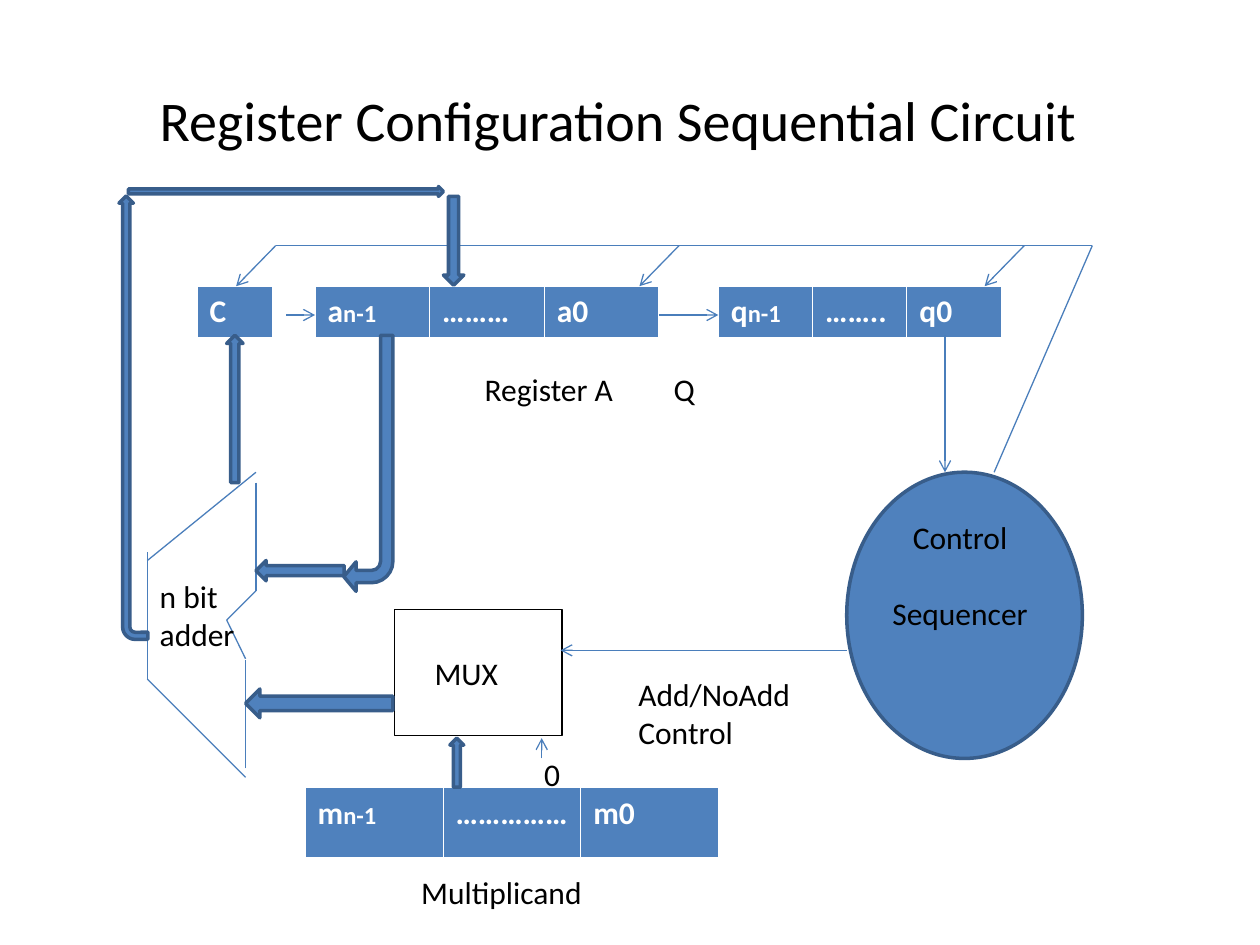
"""Build the slide showing the register configuration of a sequential multiplier."""
import pptx
import pptx.dml.color
import pptx.enum.shapes
import pptx.enum.text
import pptx.oxml
import pptx.oxml.ns
import pptx.util

Cm = pptx.util.Cm
Pt = pptx.util.Pt
KIND = pptx.enum.shapes.MSO_SHAPE
ALIGN = pptx.enum.text.PP_ALIGN
NAMESPACE = pptx.oxml.ns.nsdecls("a")
COLOURS = {"fill": "4F81BD", "outline": "385D8A", "line": "4A7EBB", "text": "000000", "light": "FFFFFF"}
RGB = {name: pptx.dml.color.RGBColor.from_string(value) for name, value in COLOURS.items()}


def add_span(para, text, size=18, colour="text", bold=False):
    span = para.add_run()
    span.text = text
    span.font.name = "Calibri"
    span.font.size = Pt(size)
    span.font.bold = bold
    span.font.color.rgb = RGB[colour]


def add_block(kind, left, top, width, height, fill="fill", outline="outline", weight=2):
    block = page.shapes.add_shape(kind, Cm(left), Cm(top), Cm(width), Cm(height))
    block.shadow.inherit = False
    if fill:
        block.fill.solid()
        block.fill.fore_color.rgb = RGB[fill]
    else:
        block.fill.background()
    block.line.color.rgb = RGB[outline]
    block.line.width = Pt(weight)
    return block


deck = pptx.Presentation()
deck.slide_width = Cm(25.4)
deck.slide_height = Cm(19.05)
page = deck.slides.add_slide(deck.slide_layouts[6])

registers = [
    (3.97, 5.77, 1.52, 1.04, [["C"]]),
    (6.35, 5.77, 2.31, 1.04, [["a", "n-1"], ["………"], ["a0"]]),
    (14.48, 5.77, 1.9, 1.04, [["q", "n-1"], ["…….."], ["q0"]]),
    (6.15, 15.88, 2.78, 1.42, [["m", "n-1"], ["……………"], ["m0"]]),
]
for left, top, cell_width, height, cells in registers:
    frame = page.shapes.add_table(
        1, len(cells), Cm(left), Cm(top), Cm(cell_width * len(cells)), Cm(height))
    for index, parts in enumerate(cells):
        frame.table.columns[index].width = Cm(cell_width)
        cell = frame.table.cell(0, index)
        cell.fill.solid()
        cell.fill.fore_color.rgb = RGB["fill"]
        for position, (side, weight) in enumerate([("L", 0.45), ("R", 0.45), ("T", 0.45), ("B", 1.47)]):
            border = pptx.oxml.parse_xml(
                f'<a:ln{side} {NAMESPACE} w="{Pt(weight)}"><a:solidFill>'
                f'<a:srgbClr val="{COLOURS["light"]}"/></a:solidFill></a:ln{side}>')
            cell._tc.get_or_add_tcPr().insert(position, border)
        for text, size in zip(parts, (18, 14)):
            add_span(cell.text_frame.paragraphs[0], text, size, "light", True)

add_block(KIND.OVAL, 17.07, 9.52, 4.75, 5.77)
mux = add_block(KIND.RECTANGLE, 7.95, 12.29, 3.38, 2.54, None, "text", 0.75)
mux.text_frame.margin_left = Cm(0.81)
mux.text_frame.vertical_anchor = pptx.enum.text.MSO_ANCHOR.MIDDLE
mux.text_frame.paragraphs[0].alignment = ALIGN.LEFT
add_span(mux.text_frame.paragraphs[0], "MUX")

bus_top, register_top = 4.95, 5.77
arrows = [
    (5.77, 6.35, 6.35, 6.35),
    (13.28, 6.35, 14.48, 6.35),
    (17.07, 13.11, 11.3, 13.11),
    (10.92, 15.29, 10.92, 14.88),
    (19.05, 6.76, 19.05, 9.52),
]
arrows += [(drop, bus_top, drop - 0.8, register_top) for drop in (5.56, 13.69, 20.65)]
bus_lines = [(5.56, bus_top, 22.02, bus_top), (22.02, bus_top, 20.04, 9.52)]
adder_lines = [
    (5.16, 9.52, 2.97, 11.3),
    (2.97, 11.13, 2.97, 13.69),
    (2.97, 13.69, 4.95, 15.67),
    (5.16, 9.73, 5.16, 11.91),
    (4.95, 15.49, 4.95, 13.31),
    (5.16, 11.91, 4.57, 12.5),
    (4.57, 12.5, 4.95, 13.28),
]
for ends in arrows + bus_lines + adder_lines:
    line = page.shapes.add_connector(
        pptx.enum.shapes.MSO_CONNECTOR.STRAIGHT, *[Cm(value) for value in ends])
    line.line.color.rgb = RGB["line"]
    line.line.width = Pt(0.75)
    if ends in arrows:
        line.line._get_or_add_ln().append(pptx.oxml.parse_xml(f'<a:tailEnd {NAMESPACE} type="arrow"/>'))
    line._element.spPr.append(pptx.oxml.parse_xml(f"<a:effectLst {NAMESPACE}/>"))

block_arrows = [
    (KIND.UP_ARROW, 4.57, 6.76, 0.33, 2.97),
    (KIND.LEFT_ARROW, 5.16, 11.3, 1.78, 0.41),
    (KIND.RIGHT_ARROW, 2.59, 3.76, 6.35, 0.2),
    (KIND.DOWN_ARROW, 8.94, 3.96, 0.41, 1.79),
    (KIND.LEFT_ARROW, 4.95, 13.89, 2.97, 0.58),
    (KIND.UP_ARROW, 9.07, 14.88, 0.28, 0.99),
]
for placement in block_arrows:
    add_block(*placement)

register_feed = add_block(KIND.BENT_ARROW, 6.93, 6.76, 0.99, 5.16)
register_feed.rotation = 180
register_feed.adjustments[1] = 0.3
sum_return = add_block(KIND.BENT_ARROW, -1.78, 8.13, 8.94, 0.58)
sum_return.rotation = 270

labels = [
    (2.97, 1.6, 19.1, 1.63, ["Register Configuration Sequential Circuit"], 32, ALIGN.LEFT, False, 0),
    (9.52, 7.34, 7.34, 1.02, ["Register A\tQ"], 18, ALIGN.LEFT, True, 0),
    (17.17, 10.31, 4.37, 2.54, ["Control", "Sequencer"], 18, ALIGN.CENTER, True, 22),
    (6.15, 17.48, 7.92, 1.02, ["Multiplicand"], 18, ALIGN.CENTER, True, 0),
    (12.62, 13.49, 3.56, 1.78, ["Add/NoAdd", "Control"], 18, ALIGN.LEFT, False, 0),
    (2.97, 11.51, 2.26, 1.78, ["n bit adder"], 18, ALIGN.LEFT, True, 0),
    (10.72, 15.09, 0.79, 1.02, ["0"], 18, ALIGN.LEFT, True, 0),
]
for left, top, width, height, texts, size, alignment, wrap, gap in labels:
    box = page.shapes.add_textbox(Cm(left), Cm(top), Cm(width), Cm(height))
    box.text_frame.word_wrap = wrap
    for index, text in enumerate(texts):
        para = box.text_frame.add_paragraph() if index else box.text_frame.paragraphs[0]
        para.alignment = alignment
        if index and gap:
            para.space_before = Pt(gap)
        for position, part in enumerate(text.split("\t")):
            add_span(para, "\t" + part if position else part, size)

deck.save("out.pptx")
